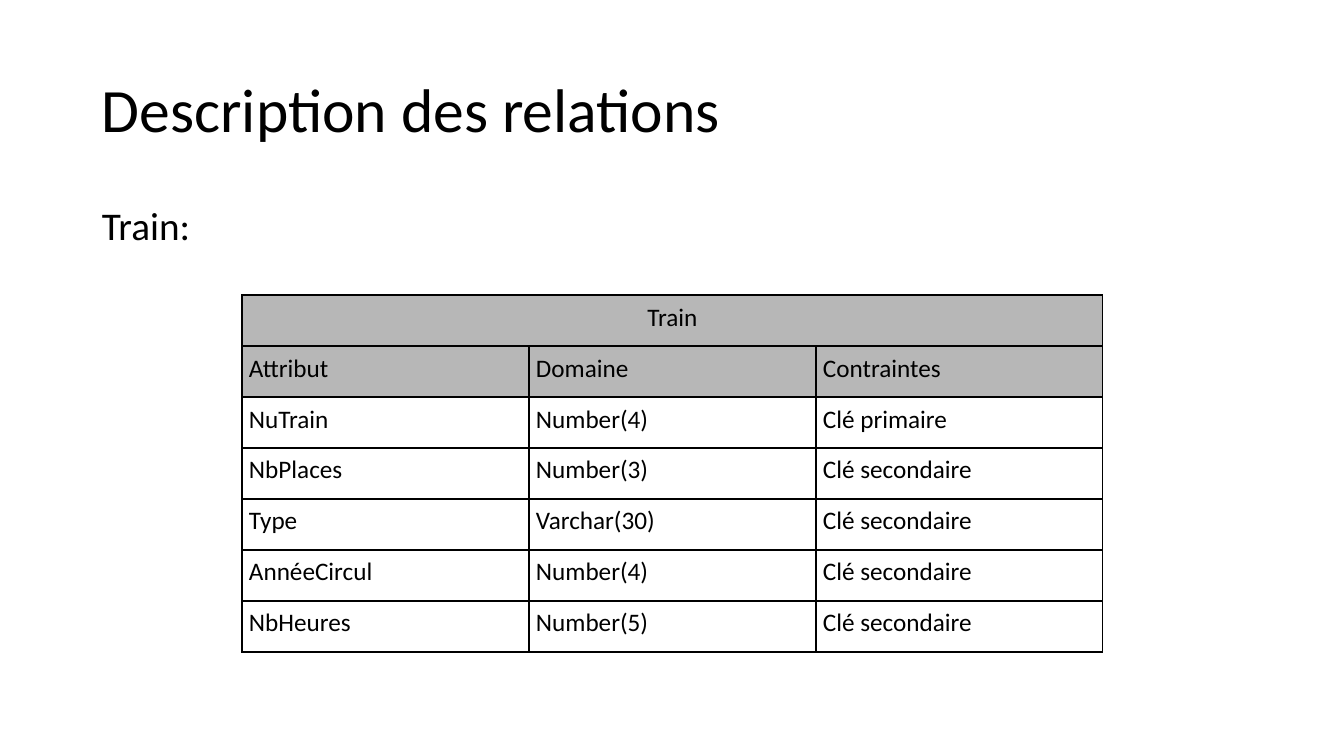
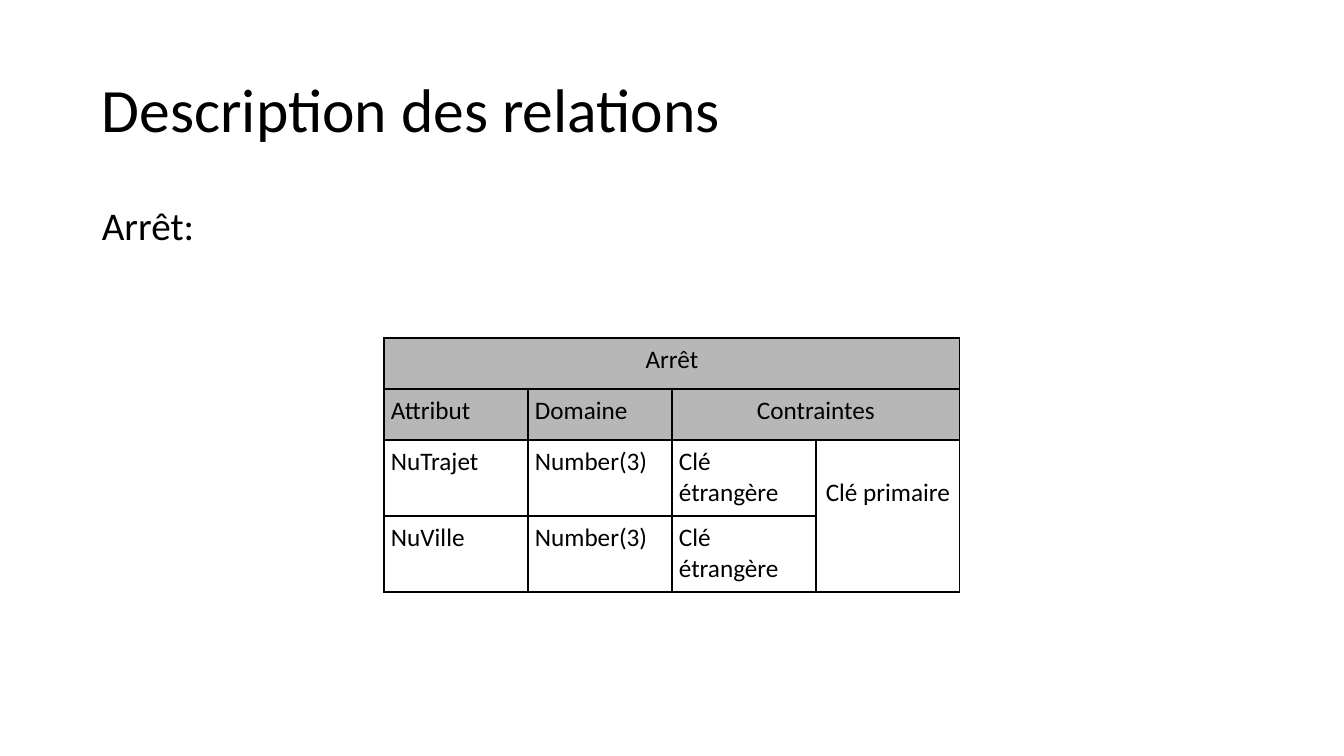
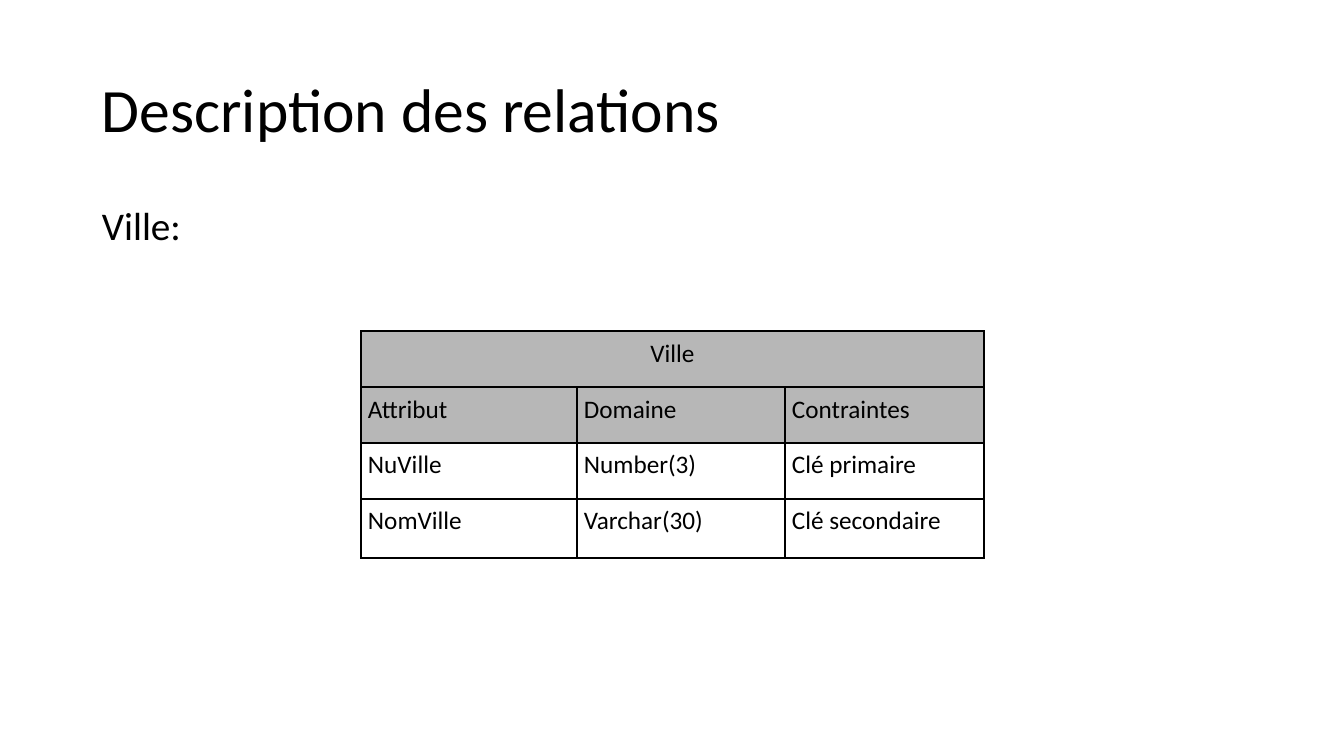
from lxml import etree
from pptx import Presentation
from pptx.dml.color import RGBColor
from pptx.enum.text import MSO_ANCHOR, PP_ALIGN
from pptx.oxml.ns import qn
from pptx.util import Emu, Pt

TOP, MIDDLE = MSO_ANCHOR.TOP, MSO_ANCHOR.MIDDLE
LEFT, CENTER = PP_ALIGN.LEFT, PP_ALIGN.CENTER

WIDE, HIGH = 1344, 756
FONT, INK, GREY = "Calibri", "000000", "B7B7B7"
PAD, LINE = 7, 31  # cell margin, height of one text line
TITLE = "Description des relations"
TITLE_BOX = (92, 40, 1159, 146)
LABEL_BOX = (92, 202, 277, 61)
HEADS = ["Attribut", "Domaine", "Contraintes"]
FIRST, SECOND, FOREIGN = "Clé primaire", "Clé secondaire", "Clé étrangère"

# spans: (row, column) -> (last row, last column); drops: lines skipped above text
TABLES = [
    dict(name="Train", top=295, cols=[287] * 3, rows=[51] * 7,
         body=[["NuTrain", "Number(4)", FIRST],
               ["NbPlaces", "Number(3)", SECOND],
               ["Type", "Varchar(30)", SECOND],
               ["AnnéeCircul", "Number(4)", SECOND],
               ["NbHeures", "Number(5)", SECOND]],
         spans={(0, 0): (0, 2)}, drops={}),
    dict(name="Arrêt", top=338, cols=[144] * 4, rows=[51, 51, 76, 76],
         body=[["NuTrajet", "Number(3)", FOREIGN, FIRST],
               ["NuVille", "Number(3)", FOREIGN]],
         spans={(0, 0): (0, 3), (1, 2): (1, 3), (2, 3): (3, 3)},
         drops={(2, 3): 1}),
    dict(name="Ville", top=331, cols=[216, 208, 199], rows=[56, 56, 56, 59],
         body=[["NuVille", "Number(3)", FIRST],
               ["NomVille", "Varchar(30)", SECOND]],
         spans={(0, 0): (0, 2)}, drops={}),
]


def px(n):
    return Emu(round(n * 914400 / 100.8))


def color(code):
    return RGBColor.from_string(code)


def write(para, text, size, align=LEFT):
    para.alignment = align
    run = para.add_run()
    run.text = text
    run.font.name = FONT
    run.font.size = Pt(size)
    run.font.color.rgb = color(INK)


def textbox(slide, box, text, size, anchor=TOP, before=0):
    frame = slide.shapes.add_textbox(*map(px, box)).text_frame
    frame.word_wrap = True
    frame.vertical_anchor = anchor
    para = frame.paragraphs[0]
    para.line_spacing = 0.9
    para.space_before = Pt(before)
    write(para, text, size)


def border(cell):
    props = cell._tc.get_or_add_tcPr()
    for side in ("lnL", "lnR", "lnT", "lnB"):
        line = etree.SubElement(props, qn("a:" + side), w=str(Pt(1)))
        fill = etree.SubElement(line, qn("a:solidFill"))
        etree.SubElement(fill, qn("a:srgbClr"), val=INK)


def style(cell, shade, drop):
    cell.margin_left = cell.margin_right = cell.margin_bottom = px(PAD)
    cell.margin_top = px(PAD + drop * LINE)
    border(cell)
    if shade:
        cell.fill.solid()
        cell.fill.fore_color.rgb = color(GREY)
    else:
        cell.fill.background()


def grid(slide, name, top, cols, rows, body, spans, drops):
    wide = sum(cols)
    box = ((WIDE - wide + 1) // 2, top, wide, sum(rows))
    table = slide.shapes.add_table(len(rows), len(cols), *map(px, box)).table
    table.first_row = table.horz_banding = False
    for col, size in zip(table.columns, cols):
        col.width = px(size)
    for row, size in zip(table.rows, rows):
        row.height = px(size)

    # Cell look, then merged areas, then text
    for r in range(len(rows)):
        for c in range(len(cols)):
            style(table.cell(r, c), r < 2, drops.get((r, c), 0))
    for start, end in spans.items():
        table.cell(*start).merge(table.cell(*end))
    for r, texts in enumerate([[name], HEADS] + body):
        for c, text in enumerate(texts):
            align = CENTER if (r, c) in spans else LEFT
            para = table.cell(r, c).text_frame.paragraphs[0]
            write(para, text, 18, align)


def page(deck, data):
    slide = deck.slides.add_slide(deck.slide_layouts[6])
    textbox(slide, TITLE_BOX, TITLE, 44, anchor=MIDDLE)
    textbox(slide, LABEL_BOX, data["name"] + ":", 28, before=10)
    grid(slide, **data)


def main():
    deck = Presentation()
    deck.slide_width, deck.slide_height = px(WIDE), px(HIGH)
    for data in TABLES:
        page(deck, data)
    deck.save("out.pptx")


if __name__ == "__main__":
    main()
